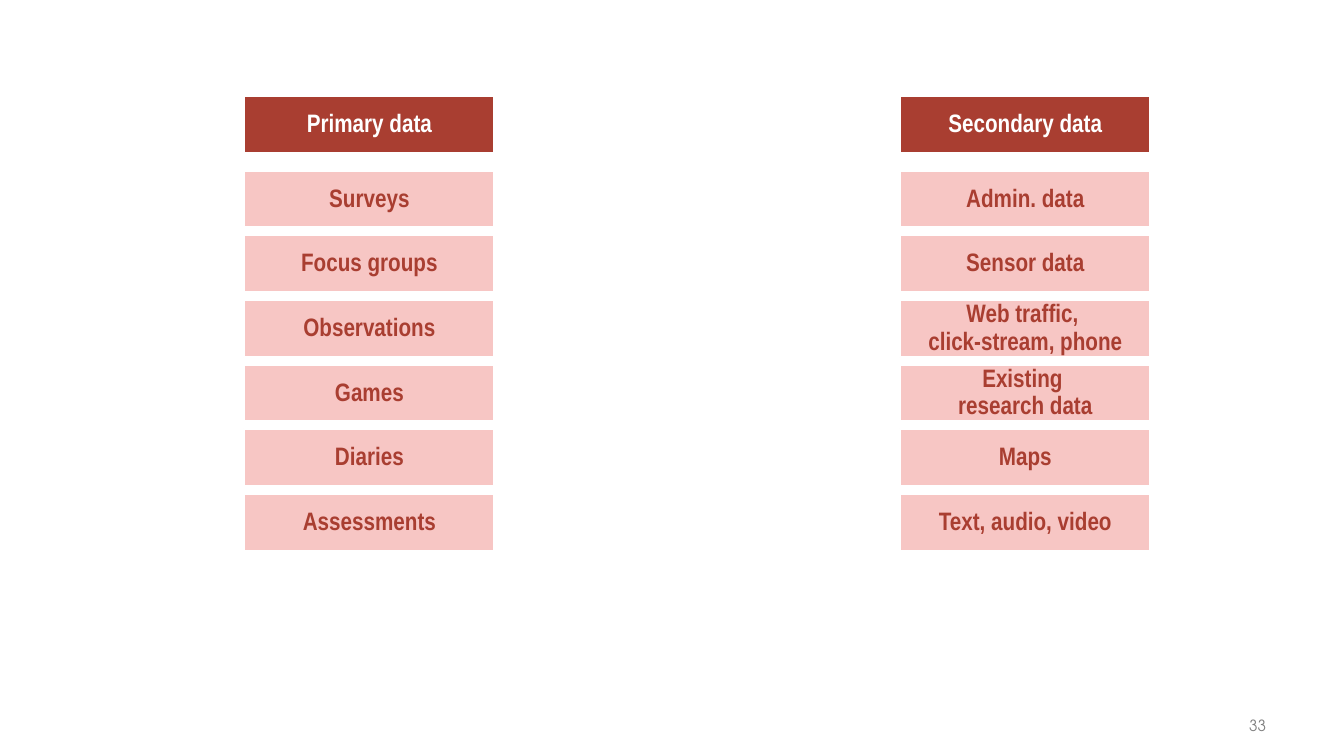
import pptx
import pptx.dml.color
import pptx.enum.shapes
import pptx.enum.text
import pptx.util

Cm = pptx.util.Cm
RGBColor = pptx.dml.color.RGBColor

BRICK = RGBColor(0xA9, 0x3E, 0x31)
PINK = RGBColor(0xF7, 0xC6, 0xC4)
WHITE = RGBColor(0xFF, 0xFF, 0xFF)
GREY = RGBColor(0x7F, 0x7F, 0x7F)

BOX_WIDTH = 6.32
BOX_HEIGHT = 1.45
HEADING_TOP = 2.41
FIRST_SOURCE_TOP = 4.29
SOURCE_STEP = 1.63

DATA_KINDS = [
    (6.15, "Primary data",
     ["Surveys", "Focus groups", "Observations", "Games", "Diaries", "Assessments"]),
    (22.68, "Secondary data",
     ["Admin. data", "Sensor data", "Web traffic, \vclick-stream, phone",
      "Existing \vresearch data", "Maps", "Text, audio, video"]),
]


def write_text(frame, text, font_name, size, color, alignment, bold=False):
    frame.word_wrap = True
    paragraph = frame.paragraphs[0]
    paragraph.text = text
    paragraph.alignment = alignment
    for run in paragraph.runs:
        run.font.name = font_name
        run.font.size = pptx.util.Pt(size)
        run.font.bold = bold
        run.font.color.rgb = color


def add_box(slide, left, top, text, fill_color, text_color):
    box = slide.shapes.add_shape(
        pptx.enum.shapes.MSO_SHAPE.RECTANGLE,
        Cm(left), Cm(top), Cm(BOX_WIDTH), Cm(BOX_HEIGHT))
    box.shadow.inherit = False
    box.fill.solid()
    box.fill.fore_color.rgb = fill_color
    box.line.color.rgb = WHITE
    box.line.width = pptx.util.Pt(2)
    frame = box.text_frame
    frame.margin_left = frame.margin_right = Cm(0.3)
    frame.margin_top = frame.margin_bottom = Cm(0.3)
    frame.vertical_anchor = pptx.enum.text.MSO_ANCHOR.MIDDLE
    write_text(frame, text, "Arial Narrow", 18, text_color,
               pptx.enum.text.PP_ALIGN.CENTER, bold=True)
    frame.paragraphs[0].line_spacing = 0.9


def add_data_column(slide, left, heading, sources):
    add_box(slide, left, HEADING_TOP, heading, BRICK, WHITE)
    for row, source in enumerate(sources):
        add_box(slide, left, FIRST_SOURCE_TOP + row * SOURCE_STEP, source, PINK, BRICK)


def add_page_number(slide, number):
    page_number = slide.shapes.add_textbox(Cm(29.01), Cm(17.91), Cm(3.15), Cm(0.61))
    write_text(page_number.text_frame, number, "TeX Gyre Adventor", 11, GREY,
               pptx.enum.text.PP_ALIGN.RIGHT)


def main():
    presentation = pptx.Presentation()
    presentation.slide_width = Cm(33.87)
    presentation.slide_height = Cm(19.05)
    slide = presentation.slides.add_slide(presentation.slide_layouts[6])
    add_page_number(slide, "33")
    for left, heading, sources in DATA_KINDS:
        add_data_column(slide, left, heading, sources)
    presentation.save("out.pptx")


if __name__ == "__main__":
    main()
